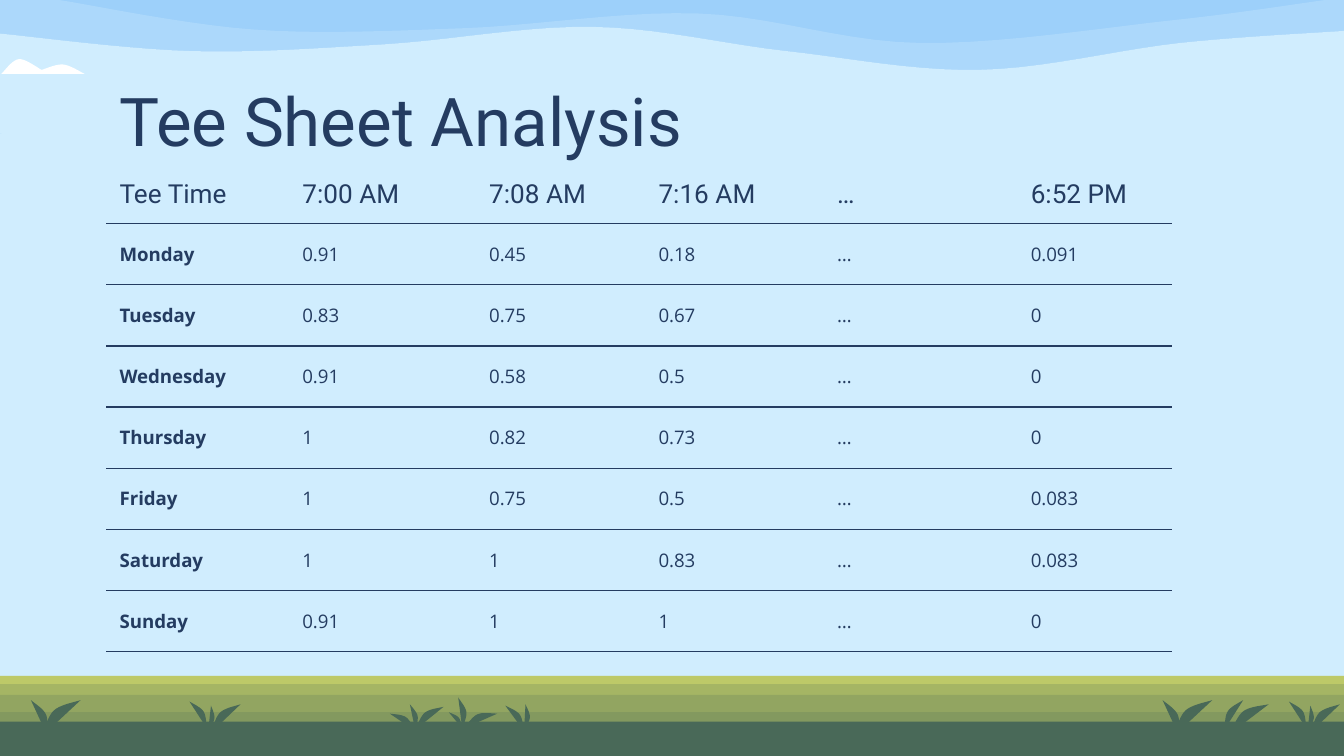
from lxml import etree
from pptx import Presentation
from pptx import util as u
from pptx.dml.color import RGBColor
from pptx.enum import shapes, text
from pptx.oxml import ns

Inches, Pt = u.Inches, u.Pt
COLORS = {
    "sky": "D0EDFE", "high_sky": "9DD0FA", "cloud": "FFFFFF",
    "grass": "DBE26C", "dark_green": "496958", "navy": "243C61",
}
STEPS = 10

prs = Presentation()
prs.slide_width = Inches(10)
prs.slide_height = Inches(10) * 9 // 16
slide = prs.slides.add_slide(prs.slide_layouts[6])
slide.background.fill.solid()
slide.background.fill.fore_color.rgb = RGBColor.from_string(COLORS["sky"])


def paint(shape, color, opacity=100):
    """Flat fill without outline or shadow."""
    shape.shadow.inherit = False
    shape.line.fill.background()
    shape.fill.solid()
    shape.fill.fore_color.rgb = RGBColor.from_string(COLORS[color])
    if opacity < 100:
        tint = shape.fill._xPr.find(".//" + ns.qn("a:srgbClr"))
        etree.SubElement(tint, ns.qn("a:alpha"), val=str(opacity * 1000))


def outline(arcs, color, opacity=100):
    """Closed shape of arcs, each a smooth curve through its knots."""
    points = []
    for knots in arcs:
        points.append(knots[0])
        padded = [knots[0], *knots, knots[-1]]
        for before, start, end, after in zip(padded, padded[1:], padded[2:], padded[3:]):
            for step in range(1, STEPS + 1):
                t = step / STEPS
                points.append(tuple(
                    b + t / 2 * (c - a + t * (2 * a - 5 * b + 4 * c - d + t * (3 * (b - c) + d - a)))
                    for a, b, c, d in zip(before, start, end, after)))
    points = [(Inches(x), Inches(y)) for x, y in points]
    builder = slide.shapes.build_freeform(*points[0], scale=1.0)
    builder.add_line_segments(points[1:], close=True)
    paint(builder.convert_to_shape(), color, opacity)


# Grass: overlapping strips down to the bottom edge
for top, color, opacity in [
    (5.03, "grass", 100), (5.03, "dark_green", 20), (5.09, "dark_green", 20),
    (5.17, "dark_green", 20), (5.3, "dark_green", 20), (5.37, "dark_green", 100),
]:
    strip = slide.shapes.add_shape(shapes.MSO_SHAPE.RECTANGLE, 0, Inches(top),
                                   prs.slide_width, prs.slide_height - Inches(top))
    paint(strip, color, opacity)

# Plants: horizontal offsets, then tip and base of each leaf
plants = [
    ([0, 8.42], [(0.6, 5.21, 0.31, 5.48), (0.23, 5.21, 0.35, 5.47)]),
    ([0, 8.18], [(1.41, 5.22, 1.54, 5.42), (1.57, 5.25, 1.55, 5.43), (1.79, 5.24, 1.57, 5.45)]),
    ([0], [(9.25, 5.21, 9.11, 5.43), (9.44, 5.24, 9.15, 5.46)]),
    ([0], [(2.9, 5.31, 3.09, 5.44), (3.05, 5.24, 3.09, 5.43), (3.3, 5.26, 3.09, 5.43)]),
    ([0], [(3.34, 5.3, 3.44, 5.42), (3.41, 5.19, 3.44, 5.42), (3.7, 5.31, 3.45, 5.42)]),
    ([0], [(3.76, 5.25, 3.9, 5.44), (3.91, 5.24, 3.9, 5.43)]),
]
for offsets, leaves in plants:
    for offset in offsets:
        for tip_x, tip_y, base_x, base_y in leaves:
            dx, dy = base_x - tip_x, base_y - tip_y
            # Leaves that lean right bulge to the left, all others to the right
            bulge = 0.2 if dx < -0.1 else -0.2
            tip, base = (tip_x + offset, tip_y), (base_x + offset, base_y)
            belly = (tip[0] + dx / 2 - bulge * dy, tip_y + dy / 2 + bulge * dx)
            outline([[tip, belly, base]], "dark_green")

# Sky: a band, the wave that cuts it, and a pale haze between two waves
low_wave = [(0, 0.25), (1.42, 0.38), (2.86, 0.33), (4.41, 0.2),
            (5.85, 0.38), (7.29, 0.52), (8.78, 0.32), (10, 0.23)]
high_wave = [(9.86, 0), (8.73, 0.15), (6.85, 0.32), (5.19, 0.1),
             (3.45, 0.21), (1.89, 0.22), (0.44, 0)]
band = slide.shapes.add_shape(shapes.MSO_SHAPE.RECTANGLE, 0, 0, prs.slide_width, Inches(0.99))
paint(band, "high_sky")
outline([low_wave, [(10, 0.99), (0, 0.99)]], "sky")
outline([low_wave, [(10, 0), high_wave[0]], high_wave, [(0, 0), low_wave[0]]], "sky", 30)
horizon = slide.shapes.add_shape(shapes.MSO_SHAPE.RECTANGLE, Inches(0.01), Inches(0.86),
                                 Inches(9.99), Inches(0.38))
paint(horizon, "sky")
outline([[(0.01, 0.55), (0.14, 0.44), (0.31, 0.52)],
         [(0.31, 0.52), (0.47, 0.48), (0.63, 0.55)]], "cloud")

# Title
title = slide.shapes.add_textbox(Inches(0.79), Inches(0.49), Inches(8.43), Inches(0.63)).text_frame
title.word_wrap = True
title.margin_left = title.margin_right = title.margin_top = title.margin_bottom = Inches(0.1)
heading = title.paragraphs[0]
heading.text = "Tee Sheet Analysis"
heading.font.size, heading.font.name = Pt(36), "Roboto"
heading.font.color.rgb = RGBColor.from_string(COLORS["navy"])

# Tee sheet
tee_sheet = [
    ["Tee Time", "7:00 AM", "7:08 AM", "7:16 AM", "…", "6:52 PM"],
    ["Monday", "0.91", "0.45", "0.18", "…", "0.091"],
    ["Tuesday", "0.83", "0.75", "0.67", "…", "0"],
    ["Wednesday", "0.91", "0.58", "0.5", "…", "0"],
    ["Thursday", "1", "0.82", "0.73", "…", "0"],
    ["Friday", "1", "0.75", "0.5", "…", "0.083"],
    ["Saturday", "1", "1", "0.83", "…", "0.083"],
    ["Sunday", "0.91", "1", "1", "…", "0"],
]
widths = [1.36, 1.39, 1.26, 1.33, 1.44, 1.15]
table = slide.shapes.add_table(len(tee_sheet), len(widths), Inches(0.79), Inches(1.21),
                               Inches(sum(widths)), Inches(3.64)).table
table.first_row = table.horz_banding = False
for column, width in zip(table.columns, widths):
    column.width = Inches(width)
for r, row in enumerate(tee_sheet):
    for c, value in enumerate(row):
        cell = table.cell(r, c)
        cell.margin_left = cell.margin_right = cell.margin_top = cell.margin_bottom = Inches(0.1)
        cell.vertical_anchor = text.MSO_ANCHOR.MIDDLE if r else text.MSO_ANCHOR.BOTTOM
        entry = cell.text_frame.paragraphs[0]
        entry.text = value
        entry.font.name, entry.font.size = ("Open Sans", Pt(10)) if r else ("Roboto", Pt(14))
        entry.font.bold = r > 0 and c == 0
        entry.font.color.rgb = RGBColor.from_string(COLORS["navy"])
        # Rules run under each row only
        props = cell._tc.get_or_add_tcPr()
        for side in "LRTB":
            border = etree.SubElement(props, ns.qn("a:ln" + side), w=str(Pt(0.75)))
            if side == "B" or (side == "T" and r):
                ink = etree.SubElement(border, ns.qn("a:solidFill"))
                etree.SubElement(ink, ns.qn("a:srgbClr"), val=COLORS["navy"])
            else:
                etree.SubElement(border, ns.qn("a:noFill"))
        cell.fill.background()

prs.save("out.pptx")
